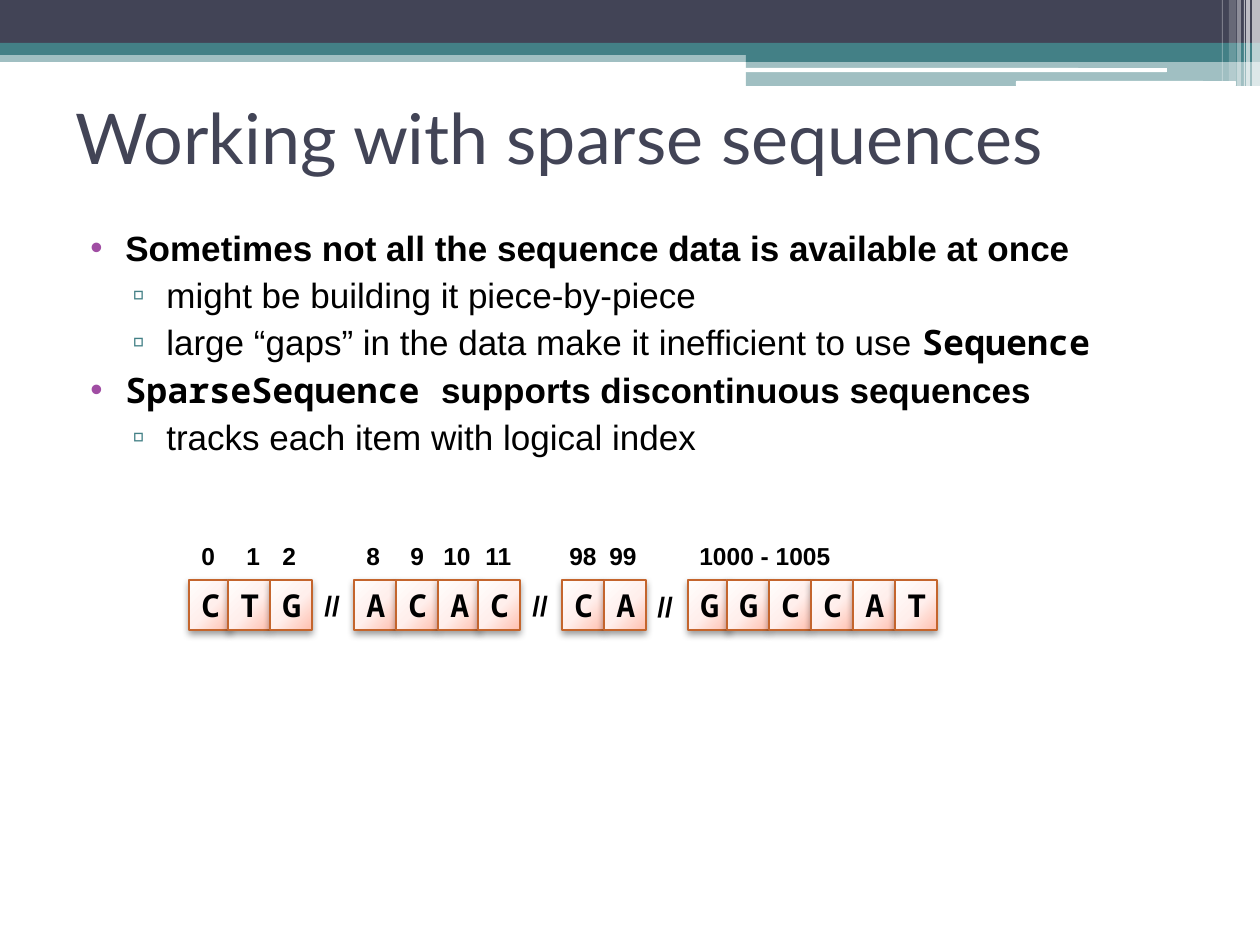
from dataclasses import dataclass

from lxml.etree import SubElement
from pptx import Presentation
from pptx.dml.color import RGBColor
from pptx.enum.shapes import MSO_SHAPE as Shape
from pptx.enum.text import MSO_ANCHOR as Anchor, MSO_AUTO_SIZE as AutoSize
from pptx.oxml import parse_xml
from pptx.oxml.ns import nsdecls, qn
from pptx.util import Pt

PX = 914400 / 126
SLIDE_W, SLIDE_H = 1260, 945


@dataclass(frozen=True)
class Theme:
    """Colours, fonts and type sizes of the slide."""
    navy: str = "424456"
    teal: str = "438086"
    purple: str = "A04DA3"
    white: str = "FFFFFF"
    black: str = "000000"
    cell_line: str = "C4652D"
    cell_stops: tuple = ((0, "FFFEFD"), (55, "FFEFEC"), (100, "FFBFAE"))
    title_font: str = "Lato"
    body_font: str = "Arial"
    code_font: str = "Noto Sans Mono"
    title_size: int = 40
    body_size: int = 20
    base_size: int = 18
    gap_size: int = 16
    index_size: int = 14


THEME = Theme()

# left, top, width, height, colour, opacity
BANDS = (
    (0, 50, 1260, 12, THEME.teal, 50),
    (0, 0, 1260, 43, THEME.navy, 100),
    (0, 43, 1260, 12, THEME.teal, 100),
    (746, 49, 514, 13, THEME.teal, 100),
    (746, 61, 514, 25, THEME.teal, 50),
)
WHITE_RULES = ((745, 68, 422, 4), (1016, 81, 220, 5))
# left, width, height, opacity
STRIPES = ((1252, 8, 86, 65), (1246, 4, 86, 65), (1244, 1, 86, 60),
           (1237, 4, 86, 40), (1229, 7, 81, 20), (1222, 1, 81, 30))

# level, then (text, bold, is code) pieces
POINTS = (
    (0, [("Sometimes not all the sequence data is available at once", True, False)]),
    (1, [("might be building it piece-by-piece", False, False)]),
    (1, [("large “gaps” in the data make it inefficient to use ", False, False),
         ("Sequence", True, True)]),
    (0, [("SparseSequence ", True, True),
         ("supports discontinuous sequences", True, False)]),
    (1, [("tracks each item with logical index", False, False)]),
)
# left margin, hanging indent, bullet, bullet colour
LEVELS = ((50, 35, "•", THEME.purple), (91, 34, "▫", THEME.teal))

SEGMENTS = (
    ("CTG", (189, 228, 270)),
    ("ACAC", (354, 396, 438, 478)),
    ("CA", (562, 604)),
    ("GGCCAT", (688, 727, 769, 811, 853, 895)),
)
GAPS = ((312, 582), (520, 582), (645, 583))
# text, left, width
INDEXES = (("0", 189, 39), ("1", 234, 39), ("2", 270, 39), ("8", 354, 39),
           ("9", 398, 39), ("10", 431, 53), ("11", 473, 54), ("98", 557, 53),
           ("99", 597, 53), ("1000 - 1005", 687, 249))


def emu(*lengths):
    """Turn px lengths into EMU."""
    return [round(length * PX) for length in lengths]


def rgb(colour):
    """Return a colour object for a hex string."""
    return RGBColor.from_string(colour)


def add_run(paragraph, text, colour=THEME.black, **formats):
    """Add a run with the given font formats."""
    run = paragraph.add_run()
    run.text = text
    for key, value in formats.items():
        setattr(run.font, key, value)
    run.font.color.rgb = rgb(colour)


def add_text_box(slide, box, anchor=Anchor.TOP):
    """Add an empty wrapping text box and return its frame."""
    frame = slide.shapes.add_textbox(*emu(*box)).text_frame
    for key, value in {"word_wrap": True, "vertical_anchor": anchor}.items():
        setattr(frame, key, value)
    return frame


def add_label(slide, box, text, size):
    """Add a short bold label."""
    frame = add_text_box(slide, box)
    frame.auto_size = AutoSize.SHAPE_TO_FIT_TEXT
    add_run(frame.paragraphs[0], text, name=THEME.body_font, size=Pt(size), bold=True)


def add_band(slide, box, colour, opacity=100, outline=Shape.RECTANGLE):
    """Add a plain filled shape of the header decoration."""
    band = slide.shapes.add_shape(outline, *emu(*box))
    band.shadow.inherit = False
    band.line.fill.background()
    band.fill.solid()
    band.fill.fore_color.rgb = rgb(colour)
    if opacity < 100:
        tint = band.fill._xPr.find(".//" + qn("a:srgbClr"))
        SubElement(tint, qn("a:alpha"), val=str(opacity * 1000))


def add_header(slide):
    """Draw the bands, white rules and corner stripes."""
    for *box, colour, opacity in BANDS:
        add_band(slide, box, colour, opacity)
    for box in WHITE_RULES:
        add_band(slide, box, THEME.white, outline=Shape.ROUNDED_RECTANGLE)
    for left, width, height, opacity in STRIPES:
        add_band(slide, (left, 0, width, height), THEME.white, opacity)


def add_bullet(paragraph, level):
    """Give a paragraph the bullet and indent of its level."""
    margin, hang, mark, colour = LEVELS[level]
    left, indent = emu(margin, -hang)
    props = paragraph._p.get_or_add_pPr()
    props.set("marL", str(left))
    props.set("indent", str(indent))
    SubElement(SubElement(props, qn("a:buClr")), qn("a:srgbClr"), val=colour)
    SubElement(props, qn("a:buFont"), typeface=THEME.body_font)
    SubElement(props, qn("a:buChar"), char=mark)


def add_points(slide):
    """Write the bulleted list."""
    frame = add_text_box(slide, (63, 220, 1134, 294))
    for number, (level, pieces) in enumerate(POINTS):
        point = frame.add_paragraph() if number else frame.paragraphs[0]
        formats = {"level": level, "space_before": Pt(3), "line_spacing": Pt(24)}
        for key, value in formats.items():
            setattr(point, key, value)
        add_bullet(point, level)
        for text, bold, is_code in pieces:
            font = THEME.code_font if is_code else THEME.body_font
            add_run(point, text, name=font, size=Pt(THEME.body_size), bold=bold)


def add_base(slide, letter, left):
    """Add one sequence cell with a radial gradient and soft shadow."""
    cell = slide.shapes.add_shape(Shape.RECTANGLE, *emu(left, 580, 42, 50))
    cell.line.color.rgb = rgb(THEME.cell_line)
    cell.line.width = Pt(0.75)
    stops = "".join(f'<a:gs pos="{pos * 1000}"><a:srgbClr val="{colour}"/></a:gs>'
                    for pos, colour in THEME.cell_stops)
    props = cell._element.spPr
    props.find(qn("a:ln")).addprevious(parse_xml(
        f'<a:gradFill {nsdecls("a")}><a:gsLst>{stops}</a:gsLst><a:path path="circle">'
        '<a:fillToRect l="-40000" t="-90000" r="140000" b="190000"/></a:path></a:gradFill>'))
    props.append(parse_xml(
        f'<a:effectLst {nsdecls("a")}><a:outerShdw blurRad="{Pt(4.1)}" dist="{Pt(2)}" '
        f'dir="5400000" rotWithShape="0"><a:srgbClr val="{THEME.black}">'
        '<a:alpha val="40000"/></a:srgbClr></a:outerShdw></a:effectLst>'))
    frame = cell.text_frame
    formats = {"word_wrap": True, "vertical_anchor": Anchor.TOP,
               "auto_size": AutoSize.SHAPE_TO_FIT_TEXT}
    for key, value in formats.items():
        setattr(frame, key, value)
    letter_line = frame.paragraphs[0]
    letter_line.alignment = 1
    add_run(letter_line, letter, name=THEME.code_font, size=Pt(THEME.base_size), bold=True)


def main():
    """Build the slide and save it."""
    deck = Presentation()
    deck.slide_width, deck.slide_height = emu(SLIDE_W, SLIDE_H)
    slide = deck.slides.add_slide(deck.slide_layouts[6])
    add_header(slide)
    title = add_text_box(slide, (63, 63, 1134, 147), Anchor.MIDDLE)
    add_run(title.paragraphs[0], "Working with sparse sequences", THEME.navy,
            name=THEME.title_font, size=Pt(THEME.title_size))
    add_points(slide)
    for letters, lefts in SEGMENTS:
        for letter, left in zip(letters, lefts):
            add_base(slide, letter, left)
    for left, top in GAPS:
        add_label(slide, (left, top, 42, 47), "//", THEME.gap_size)
    for text, left, width in INDEXES:
        add_label(slide, (left, 535, width, 43), text, THEME.index_size)
    deck.save("out.pptx")


if __name__ == "__main__":
    main()
